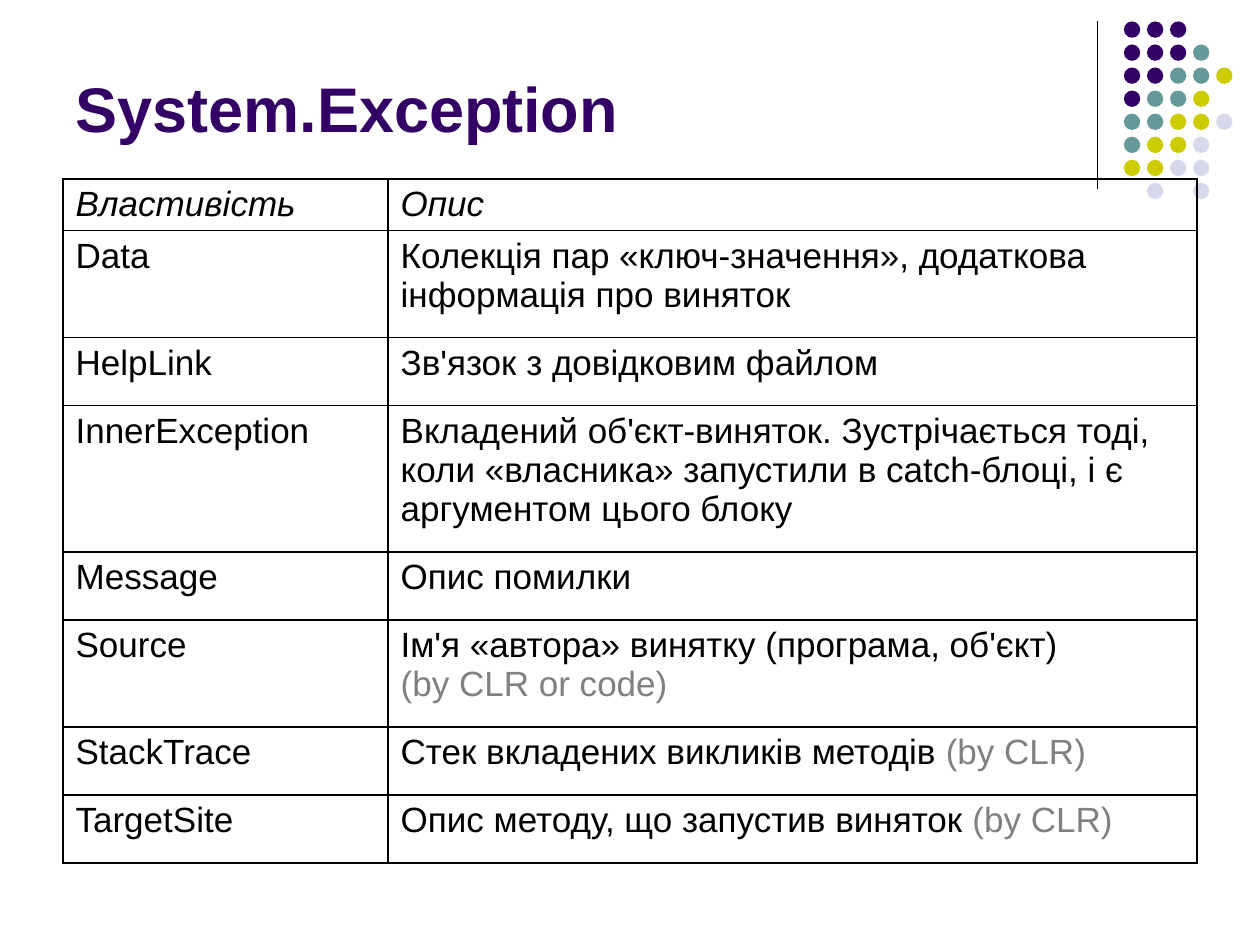
import pptx
import pptx.dml.color
import pptx.enum.shapes
import pptx.enum.text
import pptx.oxml
import pptx.oxml.ns
import pptx.util
from lxml import etree

Inches = pptx.util.Inches
TITLE = "System.Exception"
HEADER = ("Властивість", "Опис")
PROPERTIES = [
    ("Data", "Колекція пар «ключ-значення», додаткова інформація про виняток", "", 2),
    ("HelpLink", "Зв'язок з довідковим файлом", "", 1),
    ("InnerException", "Вкладений об'єкт-виняток. Зустрічається тоді, коли «власника» "
     "запустили в catch-блоці, і є аргументом цього блоку", "", 3),
    ("Message", "Опис помилки", "", 1),
    ("Source", "Ім'я «автора» винятку (програма, об'єкт)\n", "(by CLR or code)", 2),
    ("StackTrace", "Стек вкладених викликів методів ", "(by CLR)", 1),
    ("TargetSite", "Опис методу, що запустив виняток ", "(by CLR)", 1),
]
COLUMN_WIDTHS = (2.58, 6.42)
HEADER_HEIGHT, ROW_PADDING, LINE_HEIGHT = 0.41, 0.23, 0.31
DOT_COLOURS = {"P": "330066", "T": "669999", "Y": "CCCC00", "L": "D8D8EC"}
DOT_ROWS = ["PPP", "PPPT", "PPTTY", "PTTY", "TTYYL", "TYYL", "YYLL", " L L"]
DOT_LEFT, DOT_TOP, DOT_STEP, DOT_SIZE = 8.92, 0.17, 0.183, 0.13


def colour(value):
    return pptx.dml.color.RGBColor.from_string(value)


def write(para, text, size=20, fill="000000", bold=False, italic=False):
    for number, line in enumerate(text.split("\n")):
        if number:
            para.add_line_break()
        if line:
            span = para.add_run()
            span.text = line
            span.font.name = "Arial"
            span.font.size = pptx.util.Pt(size)
            span.font.bold = bold
            span.font.italic = italic
            span.font.color.rgb = colour(fill)


def draw_border(cell):
    properties = cell._tc.get_or_add_tcPr()
    for position, side in enumerate(("lnL", "lnR", "lnT", "lnB")):
        properties.insert(position, pptx.oxml.parse_xml(
            f'<a:{side} {pptx.oxml.ns.nsdecls("a")} w="12700"><a:solidFill>'
            f'<a:srgbClr val="000000"/></a:solidFill></a:{side}>'))


def add_dots(page):
    rule = page.shapes.add_connector(
        pptx.enum.shapes.MSO_CONNECTOR.STRAIGHT,
        Inches(8.71), Inches(0.17), Inches(8.71), Inches(1.5))
    rule.line.color.rgb = colour("000000")
    rule.line.width = pptx.util.Pt(0.75)
    etree.SubElement(rule._element.spPr, pptx.oxml.ns.qn("a:effectLst"))
    for row, pattern in enumerate(DOT_ROWS):
        for column, key in enumerate(pattern):
            if key == " ":
                continue
            dot = page.shapes.add_shape(
                pptx.enum.shapes.MSO_SHAPE.OVAL,
                Inches(DOT_LEFT + column * DOT_STEP), Inches(DOT_TOP + row * DOT_STEP),
                Inches(DOT_SIZE), Inches(DOT_SIZE))
            dot.shadow.inherit = False
            dot.fill.solid()
            dot.fill.fore_color.rgb = colour(DOT_COLOURS[key])
            dot.line.fill.background()


def add_title(page):
    title = page.shapes.title
    title.left, title.top = Inches(0.5), Inches(0.33)
    title.width, title.height = Inches(8.25), Inches(0.87)
    title.text_frame.vertical_anchor = pptx.enum.text.MSO_ANCHOR.BOTTOM
    para = title.text_frame.paragraphs[0]
    para.alignment = pptx.enum.text.PP_ALIGN.LEFT
    write(para, TITLE, size=36, fill="330066", bold=True)
    page.shapes._spTree.append(title._element)


def add_properties(page):
    heights = [HEADER_HEIGHT] + [ROW_PADDING + LINE_HEIGHT * entry[3] for entry in PROPERTIES]
    table = page.shapes.add_table(
        len(heights), len(COLUMN_WIDTHS), Inches(0.5), Inches(1.42),
        Inches(sum(COLUMN_WIDTHS)), Inches(sum(heights))).table
    table.first_row = False
    table.horz_banding = False
    for column, width in zip(table.columns, COLUMN_WIDTHS):
        column.width = Inches(width)
    for row, height in zip(table.rows, heights):
        row.height = Inches(height)
        for cell in row.cells:
            cell.fill.background()
            draw_border(cell)
    for cell, text in zip(table.rows[0].cells, HEADER):
        write(cell.text_frame.paragraphs[0], text, italic=True)
    for number, (name, description, origin, _) in enumerate(PROPERTIES, 1):
        write(table.cell(number, 0).text_frame.paragraphs[0], name)
        para = table.cell(number, 1).text_frame.paragraphs[0]
        write(para, description)
        write(para, origin, fill="808080")


def main():
    deck = pptx.Presentation()
    deck.slide_width, deck.slide_height = Inches(10), Inches(7.5)
    page = deck.slides.add_slide(deck.slide_layouts[5])
    add_dots(page)
    add_title(page)
    add_properties(page)
    deck.save("out.pptx")


if __name__ == "__main__":
    main()
